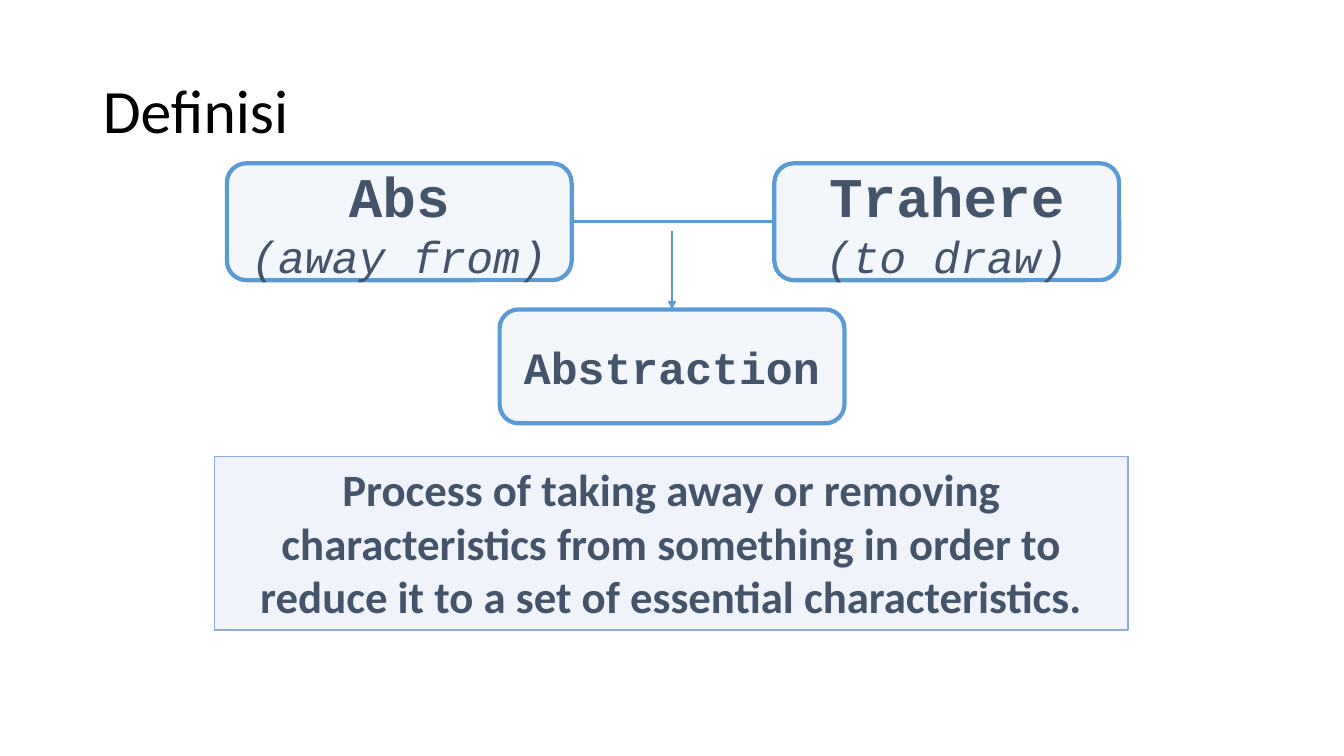
"""Build the slide that derives and defines the word abstraction."""
from lxml import etree
from pptx import Presentation
from pptx.dml.color import RGBColor
from pptx.enum.shapes import MSO_CONNECTOR, MSO_SHAPE
from pptx.enum.text import MSO_ANCHOR, PP_ALIGN
from pptx.oxml.ns import qn
from pptx.util import Inches, Pt

ROUNDED, RECTANGLE = MSO_SHAPE.ROUNDED_RECTANGLE, MSO_SHAPE.RECTANGLE
STRAIGHT = MSO_CONNECTOR.STRAIGHT
MIDDLE, TOP = MSO_ANCHOR.MIDDLE, MSO_ANCHOR.TOP
LEFT, CENTER = PP_ALIGN.LEFT, PP_ALIGN.CENTER
BLACK = RGBColor(0x00, 0x00, 0x00)
SLATE = RGBColor(0x44, 0x54, 0x6A)
BLUE = RGBColor(0x5B, 0x9B, 0xD5)
PALE_BLUE = RGBColor(0xB4, 0xC7, 0xE7)
SOFT_BLUE = RGBColor(0x8F, 0xAA, 0xDC)

TITLE = "Definisi"
ROOTS = [("Abs", "(away from)"), ("Trahere", "(to draw)")]
RESULT = "Abstraction"
DEFINITION = ("Process of taking away or removing characteristics from something "
              "in order to reduce it to a set of essential characteristics.")

SLIDE_W, SLIDE_H = 13.33, 7.5
BOX_W, ROOT_H, RESULT_H = 3.42, 1.16, 1.13
ROOT_LEFT, ROOT_TOP, ROOT_STEP = 2.25, 1.62, 5.43
RESULT_TOP = 3.07
CENTER_X = SLIDE_W / 2
ARROW_GAP = 0.09

TITLE_FONT = {"name": "Calibri", "size": Pt(44), "bold": False}
ROOT_FONT = {"name": "Courier New", "size": Pt(40), "bold": True}
MEANING_FONT = {"name": "Courier New", "size": Pt(32), "bold": False, "italic": True}
RESULT_FONT = {"name": "Courier New", "size": Pt(32), "bold": True}
DEFINITION_FONT = {"name": "Calibri", "size": Pt(32), "bold": True}


def write(frame, lines, color, align, anchor, wrap):
    frame.word_wrap, frame.vertical_anchor = wrap, anchor
    for index, (words, font) in enumerate(lines):
        paragraph = frame.paragraphs[0] if index == 0 else frame.add_paragraph()
        paragraph.alignment = align
        run = paragraph.add_run()
        run.text = words
        run.font.color.rgb = color
        for key, value in font.items():
            setattr(run.font, key, value)


def add_box(slide, kind, area, lines, outline, width, opacity, anchor, wrap):
    box = slide.shapes.add_shape(kind, *map(Inches, area))
    box.shadow.inherit = False
    box.fill.solid()
    box.fill.fore_color.rgb = PALE_BLUE
    tint = box.fill._xPr.find(qn("a:solidFill"))[0]
    etree.SubElement(tint, qn("a:alpha"), val=str(opacity * 1000))
    box.line.color.rgb, box.line.width = outline, Pt(width)
    write(box.text_frame, lines, SLATE, CENTER, anchor, wrap)
    return box


def add_line(slide, *ends):
    line = slide.shapes.add_connector(STRAIGHT, *map(Inches, ends))
    line.line.color.rgb, line.line.width = BLUE, Pt(2)
    etree.SubElement(line._element.spPr, qn("a:effectLst"))
    return line


def main():
    deck = Presentation()
    deck.slide_width, deck.slide_height = Inches(SLIDE_W), Inches(SLIDE_H)
    slide = deck.slides.add_slide(deck.slide_layouts[5])

    title = slide.shapes.title
    title.left, title.top, title.width, title.height = map(Inches, (0.92, 0.4, 11.5, 1.45))
    write(title.text_frame, [(TITLE, TITLE_FONT)], BLACK, LEFT, MIDDLE, True)
    title.text_frame.paragraphs[0].line_spacing = 0.9

    root_boxes = [
        add_box(slide, ROUNDED, (ROOT_LEFT + i * ROOT_STEP, ROOT_TOP, BOX_W, ROOT_H),
                [(root, ROOT_FONT), (meaning, MEANING_FONT)], BLUE, 3, 15, MIDDLE, False)
        for i, (root, meaning) in enumerate(ROOTS)]
    result_box = add_box(slide, ROUNDED, (CENTER_X - BOX_W / 2, RESULT_TOP, BOX_W, RESULT_H),
                         [(RESULT, RESULT_FONT)], BLUE, 3, 15, MIDDLE, False)

    root_y = ROOT_TOP + ROOT_H / 2
    link = add_line(slide, ROOT_LEFT + BOX_W, root_y, ROOT_LEFT + ROOT_STEP, root_y)
    link.begin_connect(root_boxes[0], 3)
    link.end_connect(root_boxes[1], 1)
    arrow = add_line(slide, CENTER_X, root_y + ARROW_GAP, CENTER_X, RESULT_TOP)
    arrow.end_connect(result_box, 0)
    etree.SubElement(arrow.line._get_or_add_ln(), qn("a:tailEnd"), type="triangle")

    add_box(slide, RECTANGLE, (2.13, 4.53, 9.06, 1.72),
            [(DEFINITION, DEFINITION_FONT)], SOFT_BLUE, 1, 20, TOP, True)
    deck.save("out.pptx")


if __name__ == "__main__":
    main()
